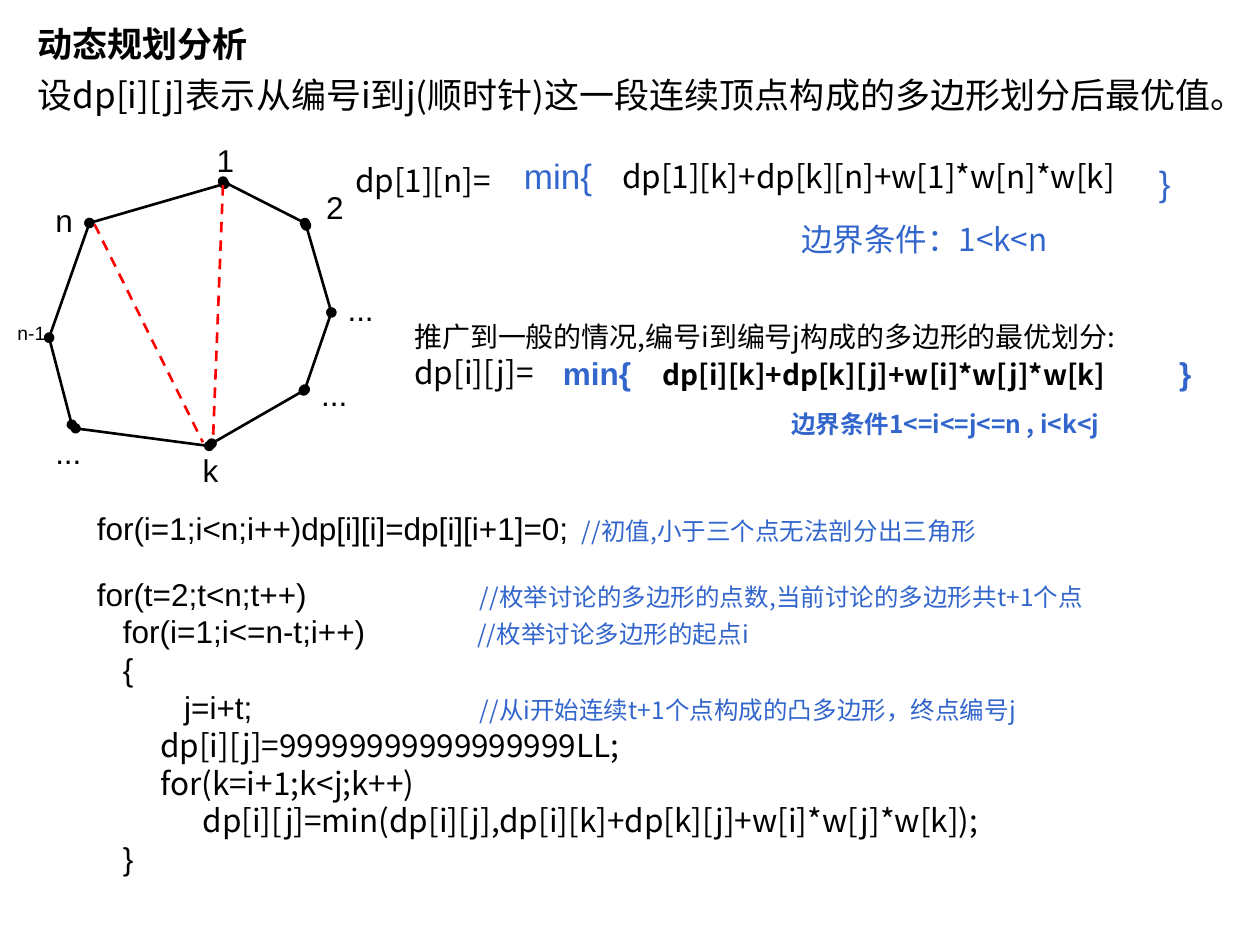
from lxml import etree
from pptx import Presentation
from pptx.dml.color import RGBColor
from pptx.enum.dml import MSO_LINE
from pptx.enum.shapes import MSO_CONNECTOR
from pptx.oxml.ns import qn
from pptx.util import Cm, Pt

STRAIGHT = MSO_CONNECTOR.STRAIGHT
DASH = MSO_LINE.DASH
SANS, CJK = "Arial", "Noto Sans CJK SC"
BLACK, BLUE, RED = "000000", "3366CC", "FF0000"
CM_PER_UNIT = 2.54  # positions below are in inches

INTRO = [
    ("动态规划分析", True),
    ("设dp[i][j]表示从编号i到j(顺时针)这一段连续顶点构成的多边形划分后最优值。", False),
]

POLYGON_EDGES = [
    ((0.71, 1.77), (1.78, 1.46)),
    ((1.77, 1.44), (2.42, 1.77)),
    ((2.43, 1.79), (2.63, 2.48)),
    ((2.63, 2.48), (2.42, 3.09)),
    ((1.66, 3.54), (0.6, 3.4)),
    ((0.57, 3.37), (0.39, 2.68)),
    ((0.39, 2.68), (0.71, 1.77)),
    ((2.41, 3.1), (1.68, 3.52)),
]
DIAGONALS = [((1.77, 1.47), (1.69, 3.51)), ((0.75, 1.78), (1.61, 3.51))]

# text, left, top, size
VERTEX_LABELS = [
    ("1", 1.62, 1.07, 18), ("2", 2.49, 1.44, 18),
    ("...", 2.66, 2.25, 18), ("...", 2.45, 2.93, 18),
    ("k", 1.51, 3.53, 18), ("...", 0.34, 3.39, 18),
    ("n-1", 0.04, 2.5, 11), ("n", 0.34, 1.55, 18),
]

# box (left, top, width, height), lines of (text, size), font, colour, bold
FORMULAS = [
    ((2.72, 1.23, 1.81, 0.4), [("dp[1][n]=", 18)], CJK, BLACK, False),
    ((4.84, 1.2, 4.57, 0.4), [("dp[1][k]+dp[k][n]+w[1]*w[n]*w[k]", 18)], CJK, BLACK, False),
    ((4.06, 1.18, 2.24, 0.44), [("min{", 20)], SANS, BLUE, False),
    ((9.1, 1.23, 0.36, 0.44), [("}", 20)], SANS, BLUE, False),
    ((6.26, 1.7, 3.23, 0.4), [("边界条件：1<k<n", 18)], CJK, BLUE, False),
    ((3.19, 2.49, 6.69, 0.67),
     [("推广到一般的情况,编号i到编号j构成的多边形的最优划分:", 16), ("dp[i][j]=", 18)],
     CJK, BLACK, False),
    ((5.16, 2.79, 4.18, 0.37), [("dp[i][k]+dp[k][j]+w[i]*w[j]*w[k]", 16)], CJK, BLACK, True),
    ((4.37, 2.76, 1.1, 0.4), [("min{", 18)], SANS, BLUE, True),
    ((9.26, 2.76, 0.36, 0.4), [("}", 18)], SANS, BLUE, True),
    ((6.18, 3.2, 3.46, 0.34), [("边界条件1<=i<=j<=n , i<k<j", 14)], CJK, BLUE, True),
]

# code, code font, comment, comment tab stop, space before in points
CODE = [
    ("for(i=1;i<n;i++)dp[i][i]=dp[i][i+1]=0;", SANS, "//初值,小于三个点无法剖分出三角形", 3.85, 0),
    ("for(t=2;t<n;t++)", SANS, "//枚举讨论的多边形的点数,当前讨论的多边形共t+1个点", 3.04, 16),
    ("   for(i=1;i<=n-t;i++)", SANS, "//枚举讨论多边形的起点i", 3.02, 0),
    ("   {", SANS, None, None, 0),
    ("          j=i+t;", SANS, "//从i开始连续t+1个点构成的凸多边形，终点编号j", 3.04, 0),
    ("         dp[i][j]=99999999999999999LL;", CJK, None, None, 0),
    ("         for(k=i+1;k<j;k++)", CJK, None, None, 0),
    ("               dp[i][j]=min(dp[i][j],dp[i][k]+dp[k][j]+w[i]*w[j]*w[k]);", CJK, None, None, 0),
    ("   }", SANS, None, None, 0),
]


def length(value):
    return Cm(value * CM_PER_UNIT)


def colour(value):
    return RGBColor.from_string(value)


def add_box(slide, box):
    frame = slide.shapes.add_textbox(*map(length, box)).text_frame
    frame.word_wrap = True
    return frame


def next_paragraph(frame, index):
    return frame.add_paragraph() if index else frame.paragraphs[0]


def add_run(paragraph, text, size, name, fill, bold=False):
    run = paragraph.add_run()
    run.text = text
    for attribute, value in {"size": Pt(size), "name": name, "bold": bold}.items():
        setattr(run.font, attribute, value)
    run.font.color.rgb = colour(fill)
    latin = run.font._element.find(qn("a:latin"))
    east_asian = etree.Element(qn("a:ea"), typeface=CJK)
    latin.addnext(east_asian)


def add_line(slide, start, end, stroke, dots=False, dash=None):
    connector = slide.shapes.add_connector(STRAIGHT, *map(length, start + end))
    connector.line.color.rgb = colour(stroke)
    connector.line.width = Pt(1.5)
    if dash:
        connector.line.dash_style = dash
    if dots:
        outline = connector.line._get_or_add_ln()
        for tag in ("a:headEnd", "a:tailEnd"):
            etree.SubElement(outline, qn(tag), type="oval")
    etree.SubElement(connector._element.spPr, qn("a:effectLst"))


def add_intro(slide):
    frame = add_box(slide, (0.2, 0.13, 9.69, 1.34))
    for index, (text, bold) in enumerate(INTRO):
        paragraph = next_paragraph(frame, index)
        properties = paragraph._p.get_or_add_pPr()
        properties.set("marL", str(length(0.38)))
        properties.set("indent", str(-length(0.38)))
        if index:
            paragraph.space_before = Pt(5)
        add_run(paragraph, text, 20, CJK, BLACK, bold)


def add_code(slide):
    frame = add_box(slide, (0.67, 3.99, 8.63, 3.34))
    for index, (code, name, comment, stop, space) in enumerate(CODE):
        paragraph = next_paragraph(frame, index)
        if space:
            paragraph.space_before = Pt(space)
        if comment:
            tabs = etree.SubElement(paragraph._p.get_or_add_pPr(), qn("a:tabLst"))
            etree.SubElement(tabs, qn("a:tab"), pos=str(length(stop)), algn="l")
        add_run(paragraph, code, 18, name, BLACK)
        if comment:
            add_run(paragraph, "\t" + comment, 14, CJK, BLUE)


def main():
    presentation = Presentation()
    presentation.slide_width, presentation.slide_height = Cm(25.4), Cm(19.05)
    slide = presentation.slides.add_slide(presentation.slide_layouts[6])

    add_intro(slide)
    for start, end in POLYGON_EDGES:
        add_line(slide, start, end, BLACK, dots=True)
    for text, left, top, size in VERTEX_LABELS:
        frame = add_box(slide, (left, top, 0.45, 0.4 if size == 18 else 0.29))
        add_run(frame.paragraphs[0], text, size, SANS, BLACK)
    for start, end in DIAGONALS:
        add_line(slide, start, end, RED, dash=DASH)
    for box, lines, name, fill, bold in FORMULAS:
        frame = add_box(slide, box)
        for index, (text, size) in enumerate(lines):
            add_run(next_paragraph(frame, index), text, size, name, fill, bold)
    add_code(slide)

    presentation.save("out.pptx")


if __name__ == "__main__":
    main()
